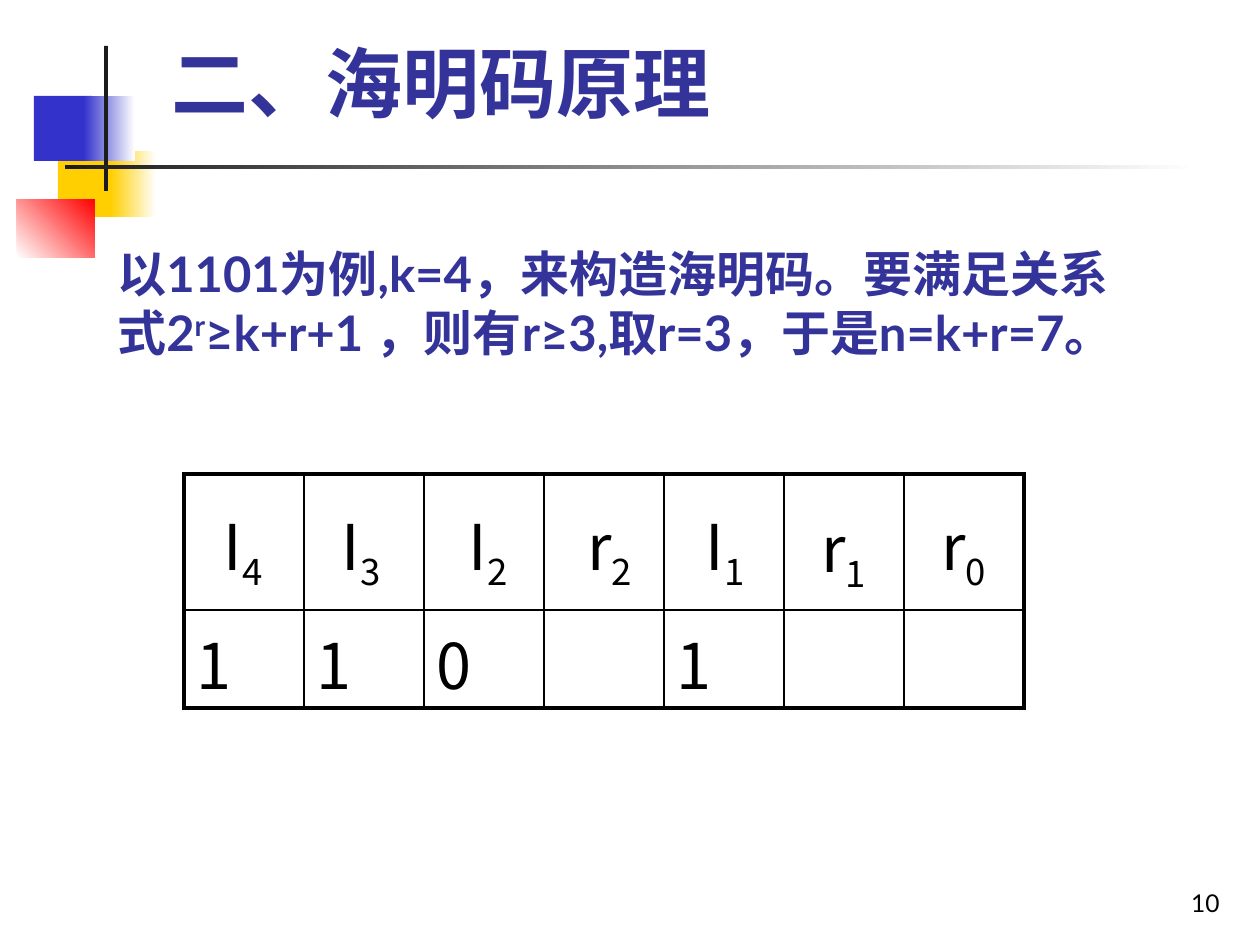
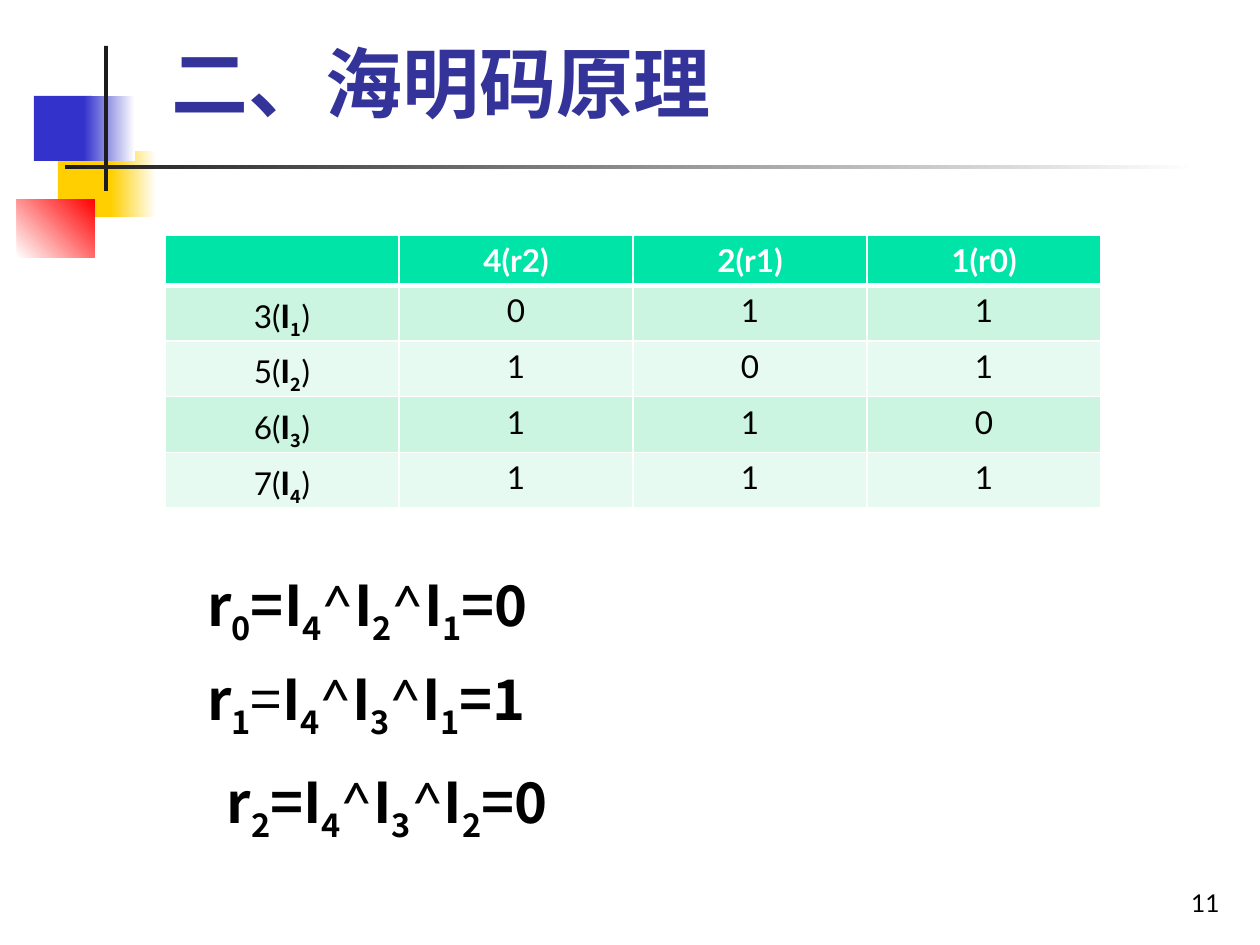
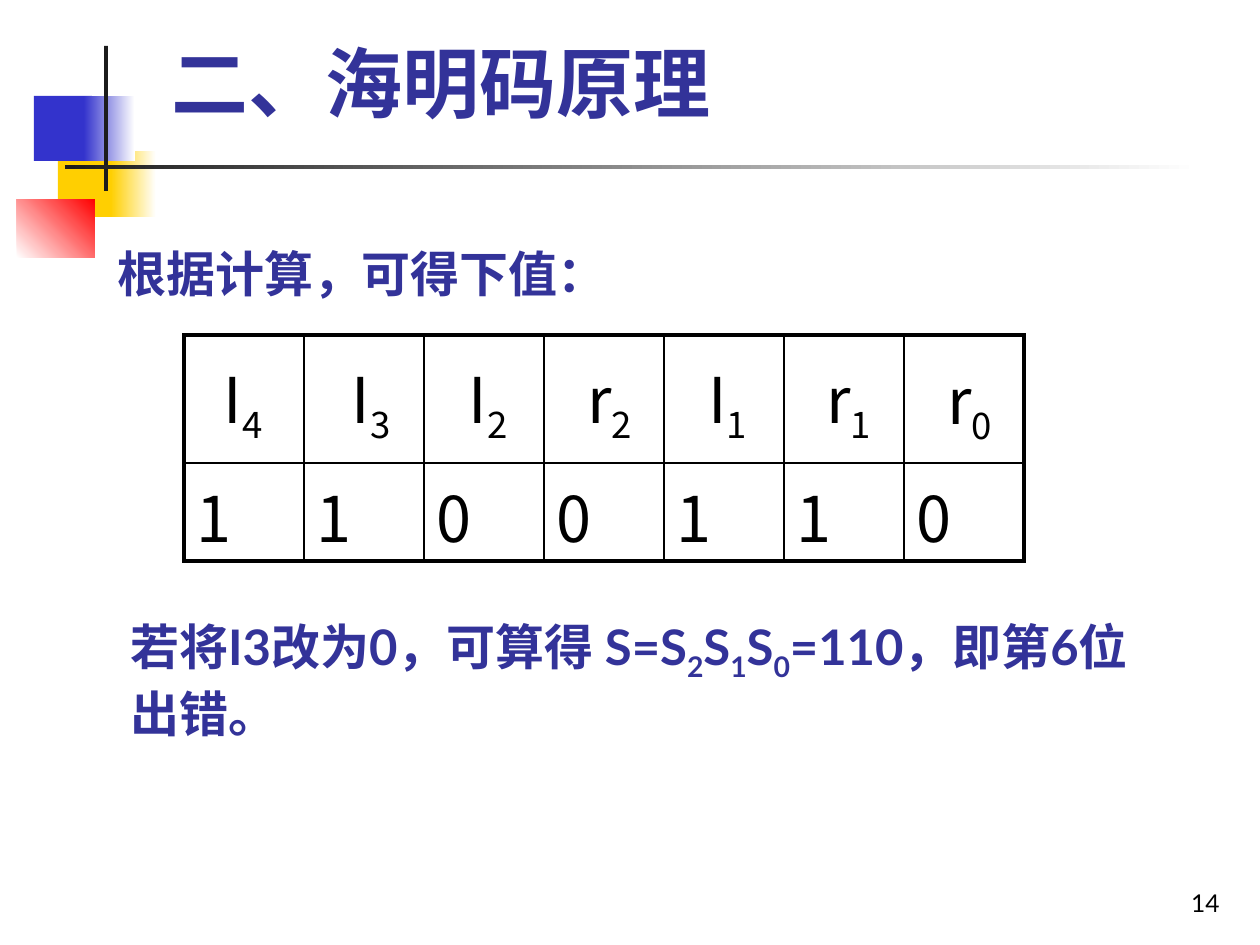
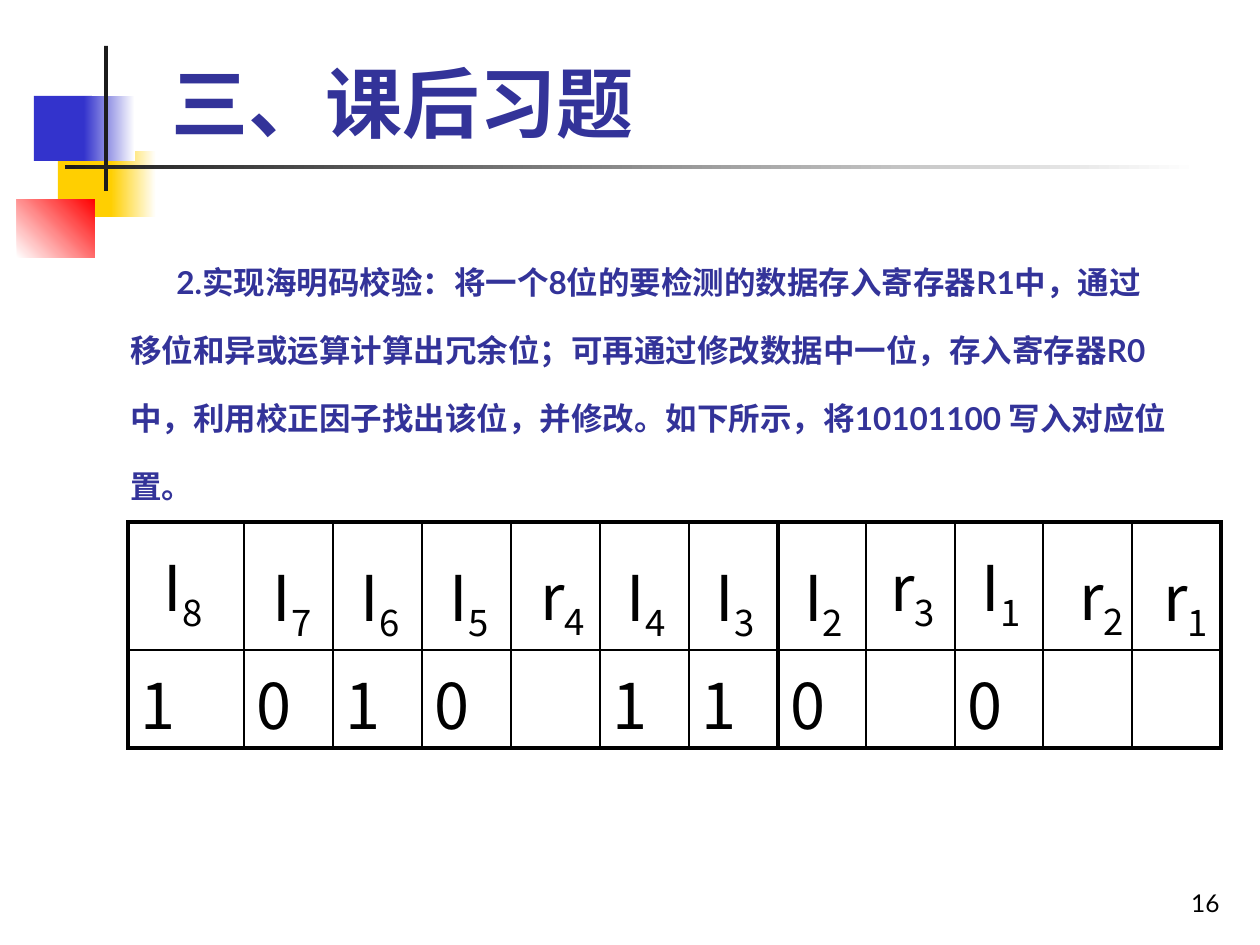
from dataclasses import dataclass
from typing import Optional, Sequence

from pptx import Presentation
from pptx.dml.color import RGBColor
from pptx.enum.shapes import MSO_SHAPE
from pptx.enum.text import MSO_ANCHOR, MSO_AUTO_SIZE, PP_ALIGN
from pptx.oxml.ns import qn
from pptx.util import Emu, Pt
from lxml import etree

EMU_PER_PIXEL = 914400 / 126
LATO = "Lato"
NOTO = "Noto Sans CJK SC"

BLACK = RGBColor(0x00, 0x00, 0x00)
WHITE = RGBColor(0xFF, 0xFF, 0xFF)
INDIGO = RGBColor(0x33, 0x33, 0x99)
BLUE = RGBColor(0x33, 0x33, 0xCC)
YELLOW = RGBColor(0xFF, 0xCF, 0x01)
RED = RGBColor(0xFF, 0x00, 0x00)
CHARCOAL = RGBColor(0x1C, 0x1C, 0x1C)
HEADER_GREEN = RGBColor(0x00, 0xE4, 0xA8)
BAND_GREEN = RGBColor(0xCC, 0xF5, 0xE1)
PALE_GREEN = RGBColor(0xE7, 0xFA, 0xF1)


@dataclass(frozen=True)
class Box:
    left: int
    top: int
    width: int
    height: int


@dataclass(frozen=True)
class Style:
    size: int
    font: str = LATO
    color: RGBColor = BLACK
    bold: bool = False


@dataclass(frozen=True)
class Run:
    text: str
    baseline: int = 0
    font: Optional[str] = None
    bold: Optional[bool] = None


@dataclass(frozen=True)
class Ornament:
    box: Box
    start: RGBColor
    end: Optional[RGBColor] = None
    angle: int = 0


@dataclass(frozen=True)
class Label:
    name: str
    left: int
    top: int
    width: int = 72


@dataclass(frozen=True)
class BitTable:
    left: int
    top: int
    widths: Sequence[int]
    head_height: int
    bits: str
    left_edge: float = 2.25


TITLE = Style(44, color=INDIGO, bold=True)
BODY = Style(28, color=INDIGO, bold=True)
EXERCISE = Style(18, color=INDIGO, bold=True)
FOOTER = Style(14)
SYMBOL = Style(36, NOTO)
EQUATION = Style(32, NOTO, bold=True)
HEADER_CELL = Style(18, color=WHITE, bold=True)
BODY_CELL = Style(18)

ORNAMENTS = (
    Ornament(Box(58, 151, 60, 66), YELLOW),
    Ornament(Box(111, 151, 45, 66), YELLOW, WHITE),
    Ornament(Box(34, 96, 58, 65), BLUE),
    Ornament(Box(84, 96, 51, 65), BLUE, WHITE),
    Ornament(Box(17, 199, 78, 59), WHITE, RED, 45),
    Ornament(Box(104, 46, 4, 145), CHARCOAL),
    Ornament(Box(65, 165, 1134, 4), CHARCOAL, WHITE),
)


def px(pixels: float) -> Emu:
    return Emu(round(pixels * EMU_PER_PIXEL))


def place(box: Box) -> tuple[Emu, Emu, Emu, Emu]:
    return px(box.left), px(box.top), px(box.width), px(box.height)


def parse(markup: str) -> list[Run]:
    runs = []
    for part in markup.split("|"):
        if part.startswith("_"):
            runs.append(Run(part[1:], -25))
        elif part.startswith("~"):
            runs.append(Run(part[1:], 30))
        elif part == "^":
            runs.append(Run(part, font=LATO, bold=False))
        elif part.startswith("!"):
            runs.append(Run(part[1:], bold=False))
        else:
            runs.append(Run(part))
    return runs


def write(paragraph, runs: Sequence[Run], style: Style) -> None:
    for item in runs:
        run = paragraph.add_run()
        run.text = item.text
        font = run.font
        font.size = Pt(style.size)
        font.bold = style.bold if item.bold is None else item.bold
        font.color.rgb = style.color
        font.name = item.font or style.font
        properties = run._r.get_or_add_rPr()
        east_asian = etree.SubElement(properties, qn("a:ea"))
        east_asian.set("typeface", font.name)
        if item.baseline:
            properties.set("baseline", str(item.baseline * 1000))


def space_before_percent(paragraph, percent: int) -> None:
    spacing = etree.Element(qn("a:spcBef"))
    etree.SubElement(spacing, qn("a:spcPct")).set("val", str(percent * 1000))
    paragraph._p.get_or_add_pPr().insert(0, spacing)


def indent(paragraph, margin: int, first_line: int) -> None:
    properties = paragraph._p.get_or_add_pPr()
    properties.set("marL", str(px(margin)))
    properties.set("indent", str(px(first_line)))


def add_text(slide, box: Box, markup: str, style: Style, align=PP_ALIGN.LEFT,
             anchor=MSO_ANCHOR.TOP, grow: bool = False, wrap: bool = True):
    frame = slide.shapes.add_textbox(*place(box)).text_frame
    frame.word_wrap = wrap
    frame.auto_size = MSO_AUTO_SIZE.SHAPE_TO_FIT_TEXT if grow else MSO_AUTO_SIZE.NONE
    frame.vertical_anchor = anchor
    paragraph = frame.paragraphs[0]
    paragraph.alignment = align
    write(paragraph, parse(markup), style)
    return paragraph


def add_ornament(slide, ornament: Ornament) -> None:
    shape = slide.shapes.add_shape(MSO_SHAPE.RECTANGLE, *place(ornament.box))
    shape.shadow.inherit = False
    shape.line.fill.background()
    if ornament.end is None:
        shape.fill.solid()
        shape.fill.fore_color.rgb = ornament.start
        return
    shape.fill.gradient()
    shape.fill.gradient_angle = ornament.angle
    for stop, color in zip(shape.fill.gradient_stops, (ornament.start, ornament.end)):
        stop.color.rgb = color


def start_slide(deck, title: str, number: int, title_box: Box = Box(159, 29, 1074, 126)):
    slide = deck.slides.add_slide(deck.slide_layouts[6])
    slide.background.fill.solid()
    slide.background.fill.fore_color.rgb = WHITE
    for ornament in ORNAMENTS:
        add_ornament(slide, ornament)
    add_text(slide, Box(970, 861, 262, 63), str(number), FOOTER,
             PP_ALIGN.RIGHT, MSO_ANCHOR.BOTTOM)
    add_text(slide, title_box, title, TITLE)
    return slide


def set_borders(cell, color: RGBColor, left: float, right: float,
                top: float, bottom: float) -> None:
    properties = cell._tc.get_or_add_tcPr()
    edges = (("L", left), ("R", right), ("T", top), ("B", bottom))
    for index, (side, width) in enumerate(edges):
        line = etree.Element(qn(f"a:ln{side}"))
        line.set("w", str(Pt(width)))
        fill = etree.SubElement(line, qn("a:solidFill"))
        etree.SubElement(fill, qn("a:srgbClr")).set("val", str(color))
        properties.insert(index, line)


def add_grid(slide, left: int, top: int, widths: Sequence[int], heights: Sequence[int]):
    box = Box(left, top, sum(widths), sum(heights))
    table = slide.shapes.add_table(len(heights), len(widths), *place(box)).table
    table.first_row = False
    table.horz_banding = False
    for column, width in zip(table.columns, widths):
        column.width = px(width)
    for row, height in zip(table.rows, heights):
        row.height = px(height)
    return table


def add_bit_table(slide, spec: BitTable) -> None:
    table = add_grid(slide, spec.left, spec.top, spec.widths, (spec.head_height, 98))
    last = len(spec.widths) - 1
    for column, bit in enumerate(spec.bits):
        for row in range(2):
            cell = table.cell(row, column)
            cell.fill.background()
            set_borders(cell, BLACK,
                        left=spec.left_edge if column == 0 else 1,
                        right=2.25 if column == last else 1,
                        top=2.25 if row == 0 else 1,
                        bottom=2.25 if row == 1 else 1)
        if bit != " ":
            paragraph = table.cell(1, column).text_frame.paragraphs[0]
            space_before_percent(paragraph, 20)
            write(paragraph, [Run(bit)], SYMBOL)


def add_labels(slide, labels: Sequence[Label]) -> None:
    for label in labels:
        letter, digit = label.name
        add_text(slide, Box(label.left, label.top, label.width, 88),
                 f"{letter}|_{digit}", SYMBOL, PP_ALIGN.CENTER, grow=True, wrap=False)


def add_position_table(slide) -> None:
    rows = (
        ("", "4(r2)", "2(r1)", "1(r0)"),
        ("3", "0", "1", "1"),
        ("5", "1", "0", "1"),
        ("6", "1", "1", "0"),
        ("7", "1", "1", "1"),
    )
    table = add_grid(slide, 165, 235, (234,) * 4, (50,) + (52,) * 4)
    for row, values in enumerate(rows):
        for column, value in enumerate(values):
            cell = table.cell(row, column)
            cell.fill.solid()
            cell.fill.fore_color.rgb = (
                HEADER_GREEN if row == 0 else BAND_GREEN if row % 2 else PALE_GREEN)
            set_borders(cell, WHITE, left=1, right=1,
                        top=3 if row == 1 else 1, bottom=3 if row == 0 else 1)
            runs = [Run(value)] if value else []
            if row and column == 0:
                runs = [Run(f"{value}("), Run("I", font=NOTO, bold=True),
                        Run(str(row), -25, NOTO, True), Run(")")]
            paragraph = cell.text_frame.paragraphs[0]
            paragraph.alignment = PP_ALIGN.CENTER
            write(paragraph, runs, BODY_CELL if row else HEADER_CELL)


def build_construction(deck) -> None:
    slide = start_slide(deck, "二、海明码原理", 10)
    add_text(slide, Box(105, 237, 1047, 190),
             "以1101为例,k=4，来构造海明码。要满足关系式2|~r|≥k+r+1 ，则有r≥3,取r=3，于是n=k+r=7。",
             BODY, grow=True)
    add_bit_table(slide, BitTable(184, 474, (120,) * 7, 136, "110 1  "))
    add_labels(slide, (
        Label("I4", 207, 501), Label("I3", 325, 501), Label("I2", 452, 501),
        Label("r2", 571, 501, 77), Label("I1", 689, 501),
        Label("r1", 805, 503, 77), Label("r0", 925, 501, 77),
    ))


def build_equations(deck) -> None:
    slide = start_slide(deck, "二、海明码原理", 11)
    for box, markup in (
        (Box(195, 564, 412, 92), "r|_0|=I|_4|^|I|_2|^|I|_1|=0"),
        (Box(195, 658, 402, 89), "r|_1|!=|I|_4|^|I|_3|^|I|_1|=1"),
    ):
        paragraph = add_text(slide, box, markup, EQUATION)
        indent(paragraph, 48, -48)
        space_before_percent(paragraph, 20)
    add_text(slide, Box(176, 761, 422, 84), "r|_2|=I|_4|^|I|_3|^|I|_2|=0",
             EQUATION, PP_ALIGN.CENTER)
    add_position_table(slide)


def build_correction(deck) -> None:
    slide = start_slide(deck, "二、海明码原理", 14)
    add_text(slide, Box(105, 237, 1047, 72), "根据计算，可得下值：", BODY, grow=True)
    add_bit_table(slide, BitTable(184, 335, (120,) * 7, 128, "1100110"))
    add_labels(slide, (
        Label("I4", 207, 354), Label("I3", 335, 354), Label("I2", 452, 354),
        Label("r2", 571, 354, 77), Label("I1", 689, 354, 77),
        Label("r1", 810, 354, 77), Label("r0", 931, 355, 77),
    ))
    add_text(slide, Box(118, 610, 1047, 131),
             "若将I3改为0，可算得 S=S|_2|S|_1|S|_0|=110，即第6位出错。", BODY, grow=True)


def build_exercise(deck) -> None:
    slide = start_slide(deck, "三、课后习题", 16, Box(159, 49, 1074, 106))
    paragraph = add_text(
        slide, Box(118, 227, 1066, 287),
        "2.实现海明码校验：将一个8位的要检测的数据存入寄存器R1中，通过移位和异或运算计算出冗余位；"
        "可再通过修改数据中一位，存入寄存器R0中，利用校正因子找出该位，并修改。"
        "如下所示，将10101100 写入对应位置。", EXERCISE, grow=True)
    paragraph.line_spacing = 1.8
    indent(paragraph, 0, 46)
    add_bit_table(slide, BitTable(128, 522, (116,) + (89,) * 6, 128, "1010 11"))
    add_bit_table(slide, BitTable(778, 522, (88, 89, 88, 89, 89), 128, "0 0  ", 1))
    add_labels(slide, (
        Label("I8", 147, 542), Label("I7", 256, 552), Label("I6", 344, 552),
        Label("I5", 433, 552), Label("r4", 524, 551, 77), Label("I4", 610, 552),
        Label("I3", 699, 552), Label("I2", 785, 552, 77), Label("r3", 874, 542, 77),
        Label("I1", 965, 542), Label("r2", 1063, 551, 77), Label("r1", 1147, 552, 77),
    ))


def main() -> None:
    deck = Presentation()
    deck.slide_width = px(1260)
    deck.slide_height = px(945)
    build_construction(deck)
    build_equations(deck)
    build_correction(deck)
    build_exercise(deck)
    deck.save("out.pptx")


main()
